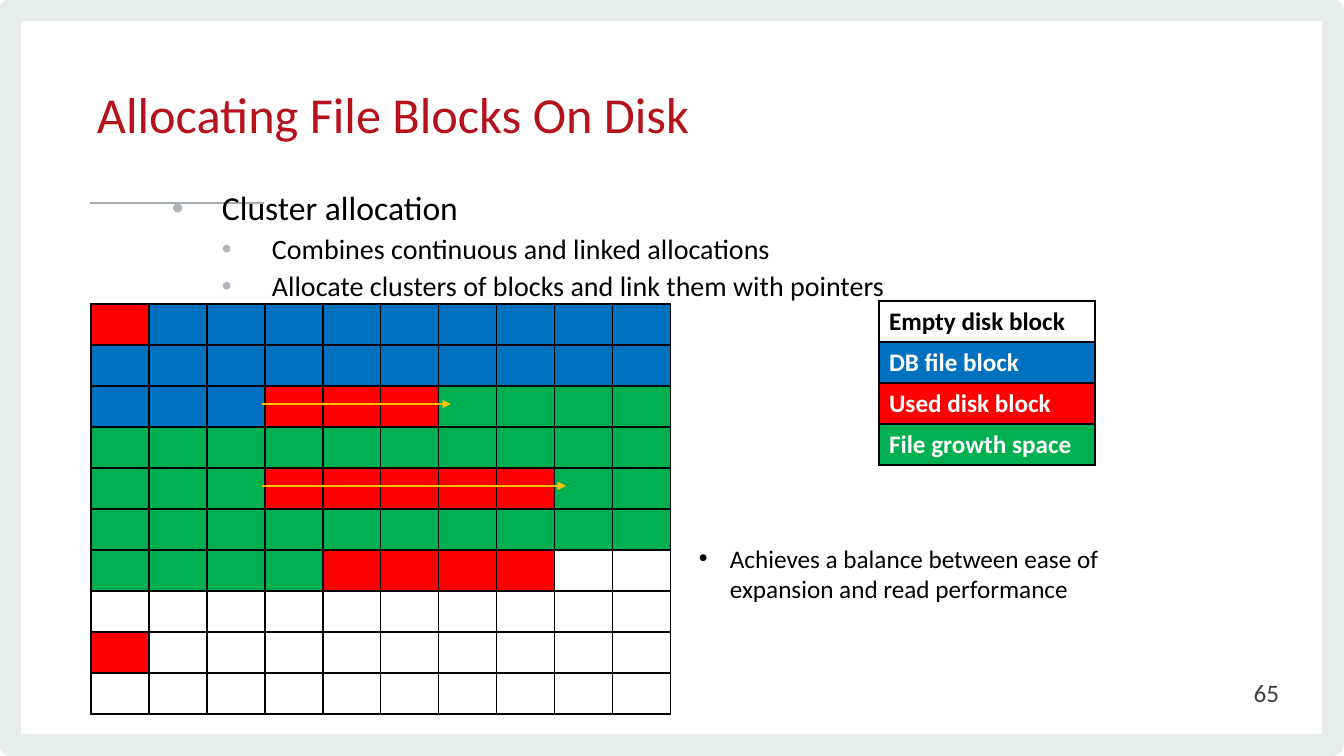
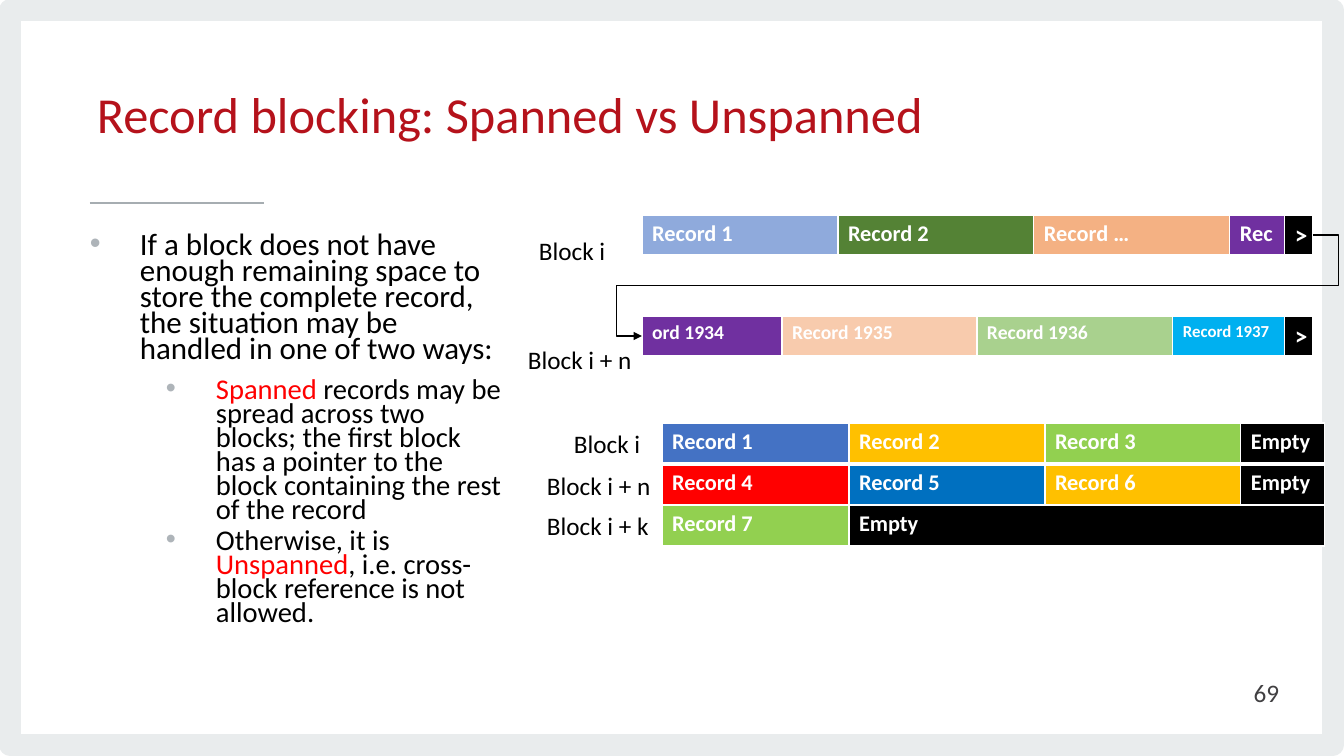
from lxml.etree import SubElement, Element
from pptx import Presentation
from pptx.dml.color import RGBColor
from pptx.enum.shapes import MSO_CONNECTOR as Connector, MSO_SHAPE as Shape
from pptx.enum.text import MSO_ANCHOR as Anchor, PP_ALIGN as Align
from pptx.oxml.ns import qn
from pptx.util import Pt

SCALE = 914400 / 100.8
FONT = "Calibri"
BLACK, WHITE = "000000", "FFFFFF"
RED, BLUE, GREEN = "FF0000", "0070C0", "00B050"
CRIMSON, SLATE, FRAME_GREY, RULE_GREY = "B5121B", "414042", "E9ECED", "A6ADB1"
BULLET_GREY, AMBER, PURPLE, LIME = "AEB4B9", "FFC000", "7030A0", "92D050"

ROW = 41
HANG = 50
MARGINS = [50, 126, 176]

ALLOCATION_TITLE = "Allocating File Blocks On Disk"
ALLOCATION_POINTS = [
    (1, 24, [("Cluster allocation", BLACK)]),
    (2, 20, [("Combines continuous and linked allocations", BLACK)]),
    (2, 20, [("Allocate clusters of blocks and link them with pointers", BLACK)]),
]
BALANCE_POINT = "Achieves a balance between ease of expansion and read performance"
BLOCK_FILLS = {"R": RED, "B": BLUE, "G": GREEN, ".": None}
DISK_BLOCKS = [
    "RBBBBBBBBB",
    "BBBBBBBBBB",
    "BBBRRRGGGG",
    "GGGGGGGGGG",
    "GGGRRRRRGG",
    "GGGGGGGGGG",
    "GGGGRRRR..",
    "..........",
    "R.........",
    "..........",
]
LEGEND = [
    [("Empty disk block", None, 18, BLACK)],
    [("DB file block", BLUE, 18, WHITE)],
    [("Used disk block", RED, 18, WHITE)],
    [("File growth space", GREEN, 18, WHITE)],
]
LINK_ARROWS = [(262, 404, 451), (262, 486, 566)]

RECORD_TITLE = "Record blocking: Spanned vs Unspanned"
RECORD_POINTS = [
    (0, 22.1, [("If a block does not have enough remaining space to store the complete "
                "record, the situation may be handled in one of two ways:", BLACK)]),
    (1, 20.4, [("Spanned", RED),
               (" records may be spread across two blocks; the first block has a pointer "
                "to the block containing the rest of the record", BLACK)]),
    (1, 20.4, [("Otherwise, it is ", BLACK), ("Unspanned", RED),
               (", i.e. cross-block reference is not allowed.", BLACK)]),
]
BLOCK_LABELS = [
    ("Block i", 529, 230, 88),
    ("Block i + n", 518, 339, 125),
    ("Block i", 564, 423, 88),
    ("Block i + n", 537, 465, 125),
    ("Block i + k", 537, 505, 123),
]
SPANNED_BLOCKS = [
    (215, [196, 196, 196, 55, 28],
     [("Record 1", "8FAADC", 16, WHITE), ("Record 2", "548235", 16, WHITE),
      ("Record …", "F4B183", 16, WHITE), ("Rec", PURPLE, 16, WHITE),
      (">", BLACK, 18, WHITE)]),
    (316, [140, 195, 196, 112, 28],
     [("ord 1934", PURPLE, 14, WHITE), ("Record 1935", "F8CBAD", 14, WHITE),
      ("Record 1936", "A9D18E", 14, WHITE), ("Record 1937", "00B0F0", 12, WHITE),
      (">", BLACK, 18, WHITE)]),
]
UNSPANNED_COLUMNS = [187, 196, 196, 84]
UNSPANNED_BLOCKS = [
    [("Record 1", "4472C4"), ("Record 2", AMBER), ("Record 3", LIME), ("Empty", BLACK)],
    [("Record 4", RED), ("Record 5", BLUE), ("Record 6", AMBER), ("Empty", BLACK)],
    [("Record 7", LIME), ("Empty", BLACK), ("", BLACK), ("", BLACK)],
]


def px(*lengths):
    return [round(length * SCALE) for length in lengths]


def rgb(value):
    return RGBColor.from_string(value)


def style_font(font, size, color, bold=False):
    font.name, font.size, font.bold = FONT, Pt(size), bold
    font.color.rgb = rgb(color)


def add_text(page, text, area, size, color, wrap=True, anchor=Anchor.TOP):
    box = page.shapes.add_textbox(*px(*area))
    frame = box.text_frame
    frame.word_wrap = wrap
    frame.vertical_anchor = anchor
    frame.text = text
    para = frame.paragraphs[0]
    style_font(para.runs[0].font, size, color)
    return para


def set_bullet(para, margin, hang, color):
    props = para._p.get_or_add_pPr()
    margin, hang = px(margin, hang)
    props.set("marL", str(margin))
    props.set("indent", str(-hang))
    SubElement(SubElement(props, qn("a:buClr")), qn("a:srgbClr"), val=color)
    SubElement(props, qn("a:buFont"), typeface="Arial")
    SubElement(props, qn("a:buChar"), char="•")


def add_points(page, points, area, spacing, after_first=0):
    frame = page.shapes.add_textbox(*px(*area)).text_frame
    frame.word_wrap = True
    for index, (level, size, pieces) in enumerate(points):
        para = frame.add_paragraph() if index else frame.paragraphs[0]
        para.level = level
        set_bullet(para, MARGINS[level], HANG, BULLET_GREY)
        para.line_spacing = spacing
        para.space_before = Pt(5 if index else 0)
        para.space_after = Pt(0 if index else after_first)
        for text, color in pieces:
            span = para.add_run()
            span.text = text
            style_font(span.font, size, color)


def add_line(page, start, end, color, width, kind=Connector.STRAIGHT, arrow=False):
    line = page.shapes.add_connector(kind, *px(*start, *end))
    line.line.color.rgb = rgb(color)
    line.line.width = Pt(width)
    if arrow:
        SubElement(line.line._get_or_add_ln(), qn("a:tailEnd"), type="triangle")
    SubElement(line._element.spPr, qn("a:effectLst"))
    return line


def set_borders(cell, color, width, bottom):
    props = cell._tc.get_or_add_tcPr()
    for place, side in enumerate("LRTB"):
        weight = bottom if side == "B" else width
        border = Element(qn(f"a:ln{side}"), w=str(Pt(weight)))
        fill = SubElement(border, qn("a:solidFill"))
        SubElement(fill, qn("a:srgbClr"), val=color)
        props.insert(place, border)


def add_grid(page, left, top, columns, rows, border, first_bottom=1):
    size = px(left, top, sum(columns), ROW * len(rows))
    table = page.shapes.add_table(len(rows), len(columns), *size).table
    table.first_row = table.horz_banding = False
    for column, width in zip(table.columns, px(*columns)):
        column.width = width
    for r, row in enumerate(rows):
        table.rows[r].height = px(ROW)[0]
        for c, (text, fill, size, color) in enumerate(row):
            cell = table.cell(r, c)
            if fill:
                cell.fill.solid()
                cell.fill.fore_color.rgb = rgb(fill)
            else:
                cell.fill.background()
            set_borders(cell, border, 1, 1 if r else first_bottom)
            if text:
                cell.text_frame.text = text
                style_font(cell.text_frame.paragraphs[0].runs[0].font, size, color, True)
    return table


def add_page(deck, title, number):
    page = deck.slides.add_slide(deck.slide_layouts[6])
    frame = page.shapes.add_shape(Shape.RECTANGLE, *px(10, 10, 1323, 735))
    frame.shadow.inherit = False
    frame.fill.background()
    frame.line.color.rgb = rgb(FRAME_GREY)
    frame.line.width = Pt(15.11)
    SubElement(frame.line._get_or_add_ln(), qn("a:round"))
    add_line(page, (90, 203), (264, 203), RULE_GREY, 1.33)
    heading = add_text(page, title, (87, 52, 886, 135), 36, CRIMSON, anchor=Anchor.MIDDLE)
    heading.line_spacing = Pt(34.7)
    folio = add_text(page, number, (987, 672, 302, 40), 18, SLATE, anchor=Anchor.MIDDLE)
    folio.alignment = Align.RIGHT
    return page


def build_allocation(deck):
    page = add_page(deck, ALLOCATION_TITLE, "65")
    add_points(page, ALLOCATION_POINTS, (86, 187, 1074, 494), 0.9)
    blocks = [[("", BLOCK_FILLS[mark], 18, BLACK) for mark in row] for row in DISK_BLOCKS]
    add_grid(page, 91, 304, [58] * 10, blocks, BLACK)
    add_grid(page, 879, 301, [216], LEGEND, BLACK)
    balance = add_text(page, BALANCE_POINT, (689, 538, 513, 72), 18, BLACK)
    set_bullet(balance, 31, 31, BLACK)
    for left, top, right in LINK_ARROWS:
        add_line(page, (left, top), (right, top), AMBER, 1.5, arrow=True)


def build_records(deck):
    page = add_page(deck, RECORD_TITLE, "69")
    add_points(page, RECORD_POINTS, (80, 230, 433, 425), 0.7, after_first=6)
    for text, left, top, width in BLOCK_LABELS:
        add_text(page, text, (left, top, width, 40), 18, BLACK, wrap=False)
    for top, columns, records in SPANNED_BLOCKS:
        add_grid(page, 642, top, columns, [records], WHITE, first_bottom=3)
    link = add_line(page, (1313, 235), (642, 336), BLACK, 1, Connector.ELBOW, True)
    shape = link._element.spPr.find(qn("a:prstGeom"))
    shape.set("prst", "bentConnector5")
    guides = shape.find(qn("a:avLst"))
    if guides is None:
        guides = SubElement(shape, qn("a:avLst"))
    for index, value in enumerate([-3800, 50000, 103800], 1):
        SubElement(guides, qn("a:gd"), name=f"adj{index}", fmla=f"val {value}")
    rows = [[(text, fill, 16, WHITE) for text, fill in row] for row in UNSPANNED_BLOCKS]
    table = add_grid(page, 662, 423, UNSPANNED_COLUMNS, rows, WHITE, first_bottom=3)
    table.cell(2, 1).merge(table.cell(2, 3))


def main():
    deck = Presentation()
    deck.slide_width, deck.slide_height = px(1344, 756)
    build_allocation(deck)
    build_records(deck)
    deck.save("out.pptx")


if __name__ == "__main__":
    main()
